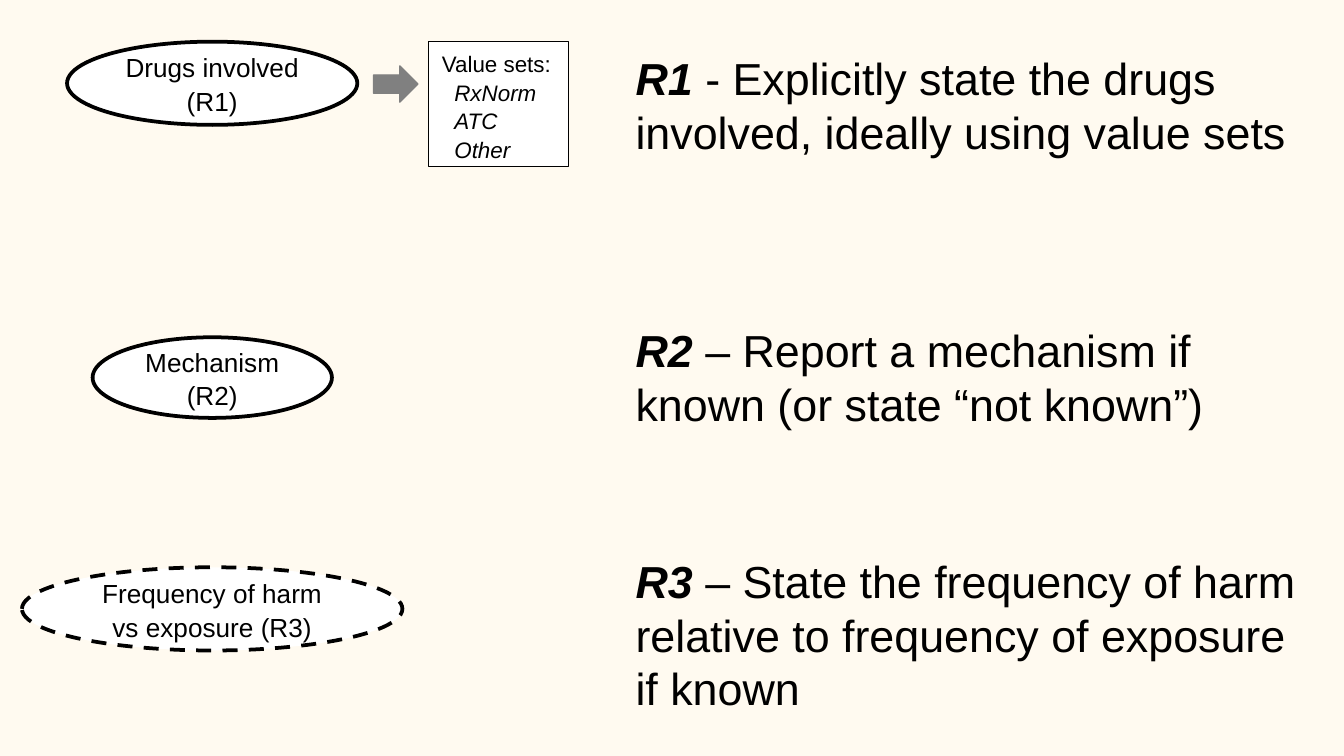
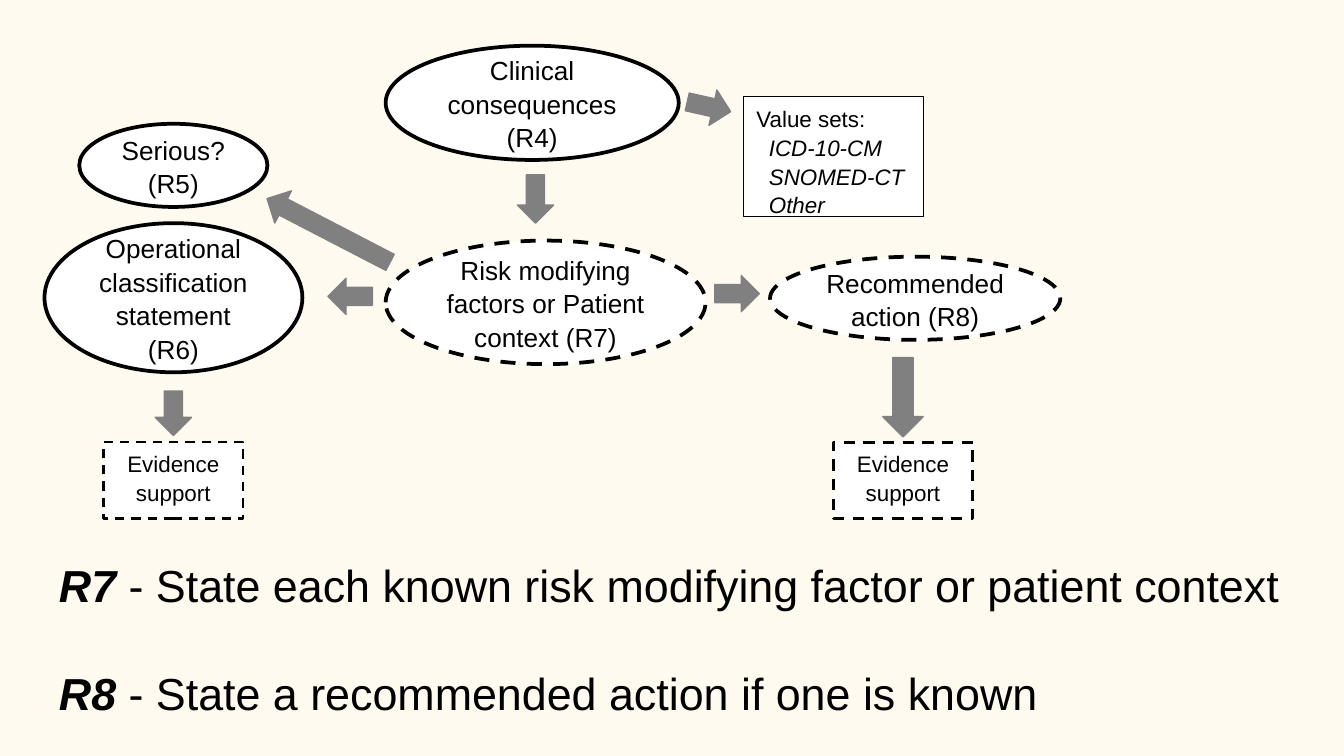
from dataclasses import dataclass

from pptx import Presentation
from pptx.dml.color import RGBColor
from pptx.enum.dml import MSO_LINE
from pptx.enum.shapes import MSO_SHAPE as Preset
from pptx.enum.text import MSO_ANCHOR as Anchor
from pptx.enum.text import MSO_AUTO_SIZE as AutoSize
from pptx.enum.text import PP_ALIGN as Align
from pptx.util import Pt


@dataclass(frozen=True)
class Theme:
    font: str = "Arial"
    paper: RGBColor = RGBColor(0xFF, 0xFA, 0xF0)
    fill: RGBColor = RGBColor(0xFF, 0xFF, 0xFF)
    ink: RGBColor = RGBColor(0, 0, 0)
    arrow: RGBColor = RGBColor(0x80, 0x80, 0x80)
    statement_size: float = 24
    node_size: float = 14
    note_size: float = 12
    line_spacing: float = 1.07


def write(para, text, theme, size, bold=False, italic=False):
    """Append one formatted span to a paragraph."""
    span = para.add_run()
    span.text = text
    font = span.font
    font.name, font.size = theme.font, Pt(size)
    font.bold, font.italic = bold, italic
    font.color.rgb = theme.ink


class Diagram:
    """Draws on the current page; shapes are placed by their centre, in points."""

    def __init__(self, theme):
        self.theme = theme
        self.deck = Presentation()
        self.deck.slide_width, self.deck.slide_height = Pt(720), Pt(405)
        self.page = None

    def new_page(self):
        self.page = self.deck.slides.add_slide(self.deck.slide_layouts[6])
        background = self.page.background.fill
        background.solid()
        background.fore_color.rgb = self.theme.paper

    def shape(self, preset, x, y, width, height, fill, line, weight, dashed=False):
        shape = self.page.shapes.add_shape(
            preset, Pt(x - width / 2), Pt(y - height / 2), Pt(width), Pt(height))
        shape.shadow.inherit = False
        shape.fill.solid()
        shape.fill.fore_color.rgb = fill
        shape.line.color.rgb = line
        shape.line.width = Pt(weight)
        if dashed:
            shape.line.dash_style = MSO_LINE.DASH
        shape.text_frame.word_wrap = True
        return shape

    def outlined(self, preset, x, y, width, height, weight, dashed):
        return self.shape(preset, x, y, width, height,
                          self.theme.fill, self.theme.ink, weight, dashed)

    def paragraph(self, frame, text, size, first=True, align=Align.LEFT, after=0,
                  indent=0, italic=False):
        para = frame.paragraphs[0] if first else frame.add_paragraph()
        if indent:
            properties = para._p.get_or_add_pPr()
            properties.set("marL", str(Pt(indent)))
            properties.set("indent", "0")
        para.alignment = align
        para.line_spacing = self.theme.line_spacing
        para.space_after = Pt(after)
        write(para, text, self.theme, size, italic=italic)

    def node(self, text, x, y, width, height, dashed=False, after=8):
        oval = self.outlined(Preset.OVAL, x, y, width, height, 2, dashed)
        frame = oval.text_frame
        frame.vertical_anchor = Anchor.MIDDLE
        self.paragraph(frame, text, self.theme.node_size, align=Align.CENTER, after=after)

    def value_sets(self, names, x, y, width, height):
        box = self.outlined(Preset.RECTANGLE, x, y, width, height, 0.5, False)
        frame = box.text_frame
        frame.vertical_anchor = Anchor.TOP
        self.paragraph(frame, "Value sets:", self.theme.note_size)
        for name in names:
            self.paragraph(frame, name, self.theme.note_size, first=False,
                           indent=6.7, italic=True)

    def evidence(self, x, y, weight):
        box = self.outlined(Preset.RECTANGLE, x, y, 74.9, 41, weight, True)
        box.text_frame.vertical_anchor = Anchor.TOP
        self.paragraph(box.text_frame, "Evidence support", self.theme.note_size,
                       align=Align.CENTER)

    def arrow(self, x, y, length=23.8, width=19.4, turn=0):
        """Block arrow pointing down, turned clockwise by the given degrees."""
        arrow = self.shape(Preset.DOWN_ARROW, x, y, width, length,
                           self.theme.arrow, self.theme.arrow, 0)
        arrow.rotation = turn

    def statements(self, items, left, top, width, height):
        """Large text with each rule's code in bold italics."""
        box = self.page.shapes.add_textbox(Pt(left), Pt(top), Pt(width), Pt(height))
        frame = box.text_frame
        frame.word_wrap = True
        frame.auto_size = AutoSize.SHAPE_TO_FIT_TEXT
        size = self.theme.statement_size
        for index, (code, text) in enumerate(items):
            para = frame.add_paragraph() if index else frame.paragraphs[0]
            if index:
                para.space_before = Pt(29)
            write(para, f"{code} ", self.theme, size, bold=True, italic=True)
            write(para, text, self.theme, size)


def draw_drug_rules(diagram):
    diagram.new_page()
    column = 113.7
    diagram.node("Frequency of harm vs exposure (R3)", column, 326.2, 203.8, 44.6, dashed=True)
    diagram.arrow(212, 45, turn=270)
    diagram.node("Drugs involved (R1)", column, 44.6, 155.5, 44.6)
    diagram.value_sets(("RxNorm", "ATC", "Other"), 267.1, 55.8, 74.9, 67)
    diagram.node("Mechanism (R2)", column, 202.3, 128.2, 43.2)
    for code, text, top, width, height in (
        ("R1", "- Explicitly state the drugs involved, ideally using value sets",
         23.8, 369.4, 65.5),
        ("R2", "– Report a mechanism if known (or state “not known”)",
         169.2, 379.4, 65.5),
        ("R3", "– State the frequency of harm relative to frequency of exposure if known",
         293, 379.4, 94.3),
    ):
        diagram.statements([(code, text)], 333.4, top, width, height)


def draw_context_rules(diagram):
    diagram.new_page()
    left, right = 92.9, 483.8
    diagram.node("Clinical consequences (R4)", 285.1, 55.1, 157, 61.2)
    diagram.node("Operational classification statement (R6)", left, 159.5, 138.2, 79.9)
    diagram.node("Serious? (R5)", left, 88.6, 100.8, 44.6)
    diagram.value_sets(("ICD-10-CM", "SNOMED-CT", "Other"), 446.4, 83.9, 96.5, 64.1)
    diagram.arrow(379.8, 57.2, turn=282.7)
    diagram.node("Recommended action (R8)", 490.3, 159.8, 155.5, 44.6, dashed=True)
    diagram.evidence(right, 257.4, 1.5)
    diagram.evidence(left, 257.4, 1.25)
    diagram.arrow(left, 221.4)
    diagram.arrow(right, 212.8, length=42.5, width=21.6)
    diagram.node("Risk modifying factors or Patient context (R7)",
                 292.3, 162, 171.4, 66.2, dashed=True, after=0)
    diagram.arrow(394.9, 157.3, turn=270)
    diagram.arrow(187.6, 158.8, turn=90)
    diagram.arrow(176, 123.5, length=74.2, turn=117.4)
    diagram.arrow(286.9, 106.6, length=25.9)
    diagram.statements([
        ("R7", "- State each known risk modifying factor or patient context"),
        ("R8", "- State a recommended action if one is known"),
    ], 24.5, 295.2, 672.5, 94.3)


def main():
    diagram = Diagram(Theme())
    draw_drug_rules(diagram)
    draw_context_rules(diagram)
    diagram.deck.save("out.pptx")


if __name__ == "__main__":
    main()
